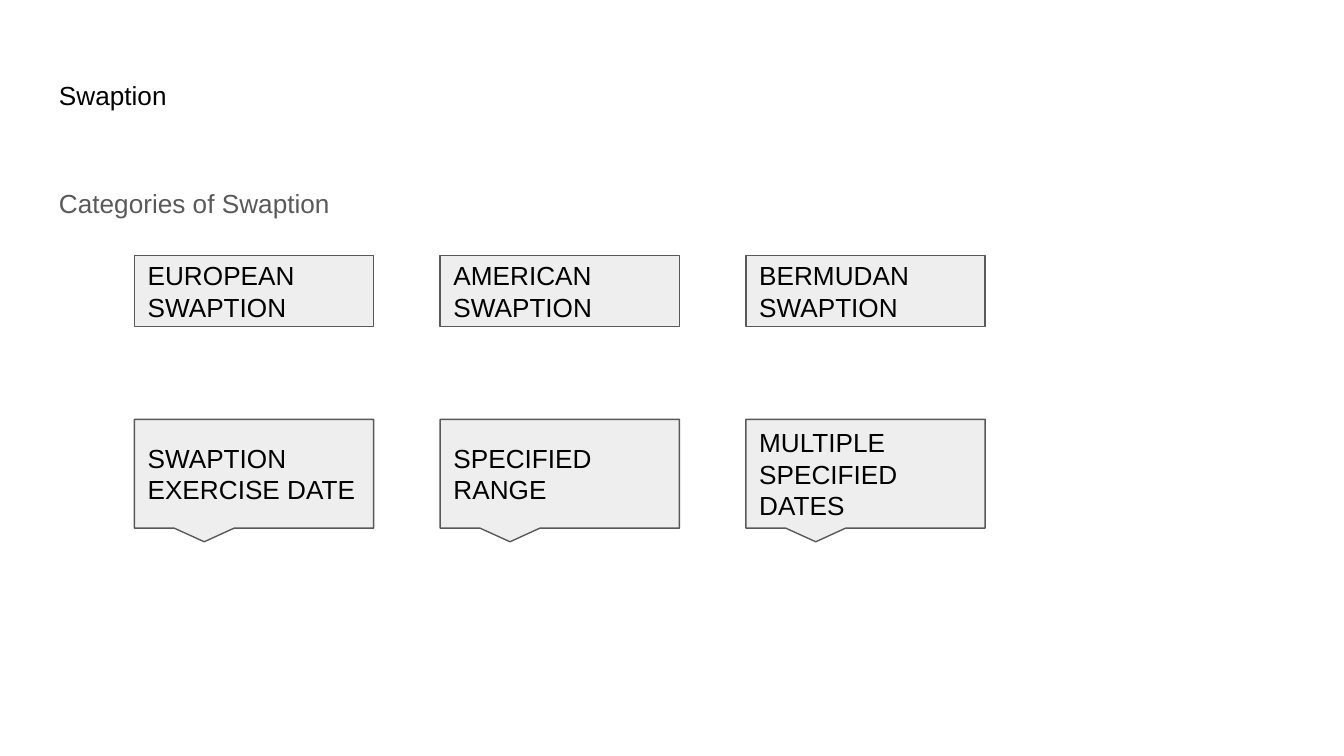
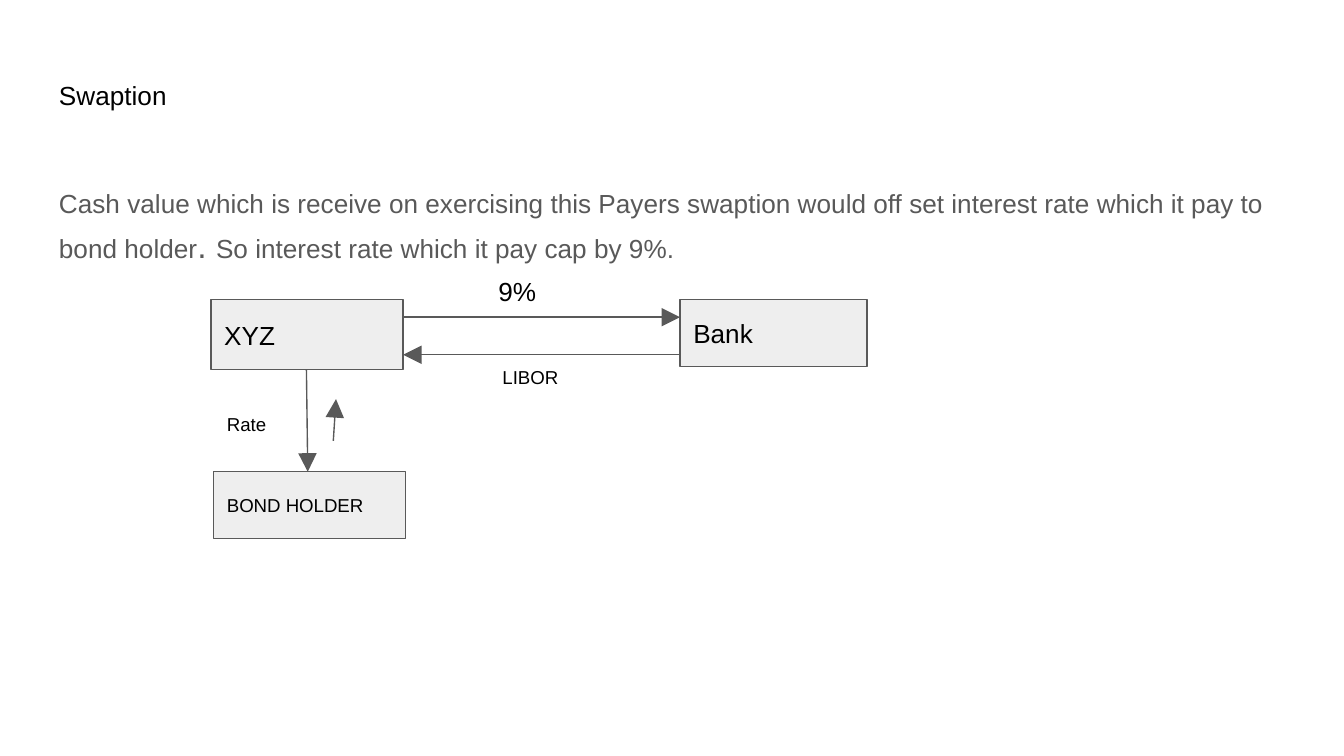
"""Build two slides on swaptions: the categories and a payer swaption diagram."""
from lxml import etree
from pptx import Presentation
from pptx.dml.color import RGBColor
from pptx.enum.shapes import MSO_CONNECTOR, MSO_SHAPE
from pptx.enum.text import MSO_ANCHOR, PP_ALIGN
from pptx.oxml.ns import qn
from pptx.util import Inches, Pt

RECT, CALLOUT = MSO_SHAPE.RECTANGLE, MSO_SHAPE.RECTANGULAR_CALLOUT
STRAIGHT = MSO_CONNECTOR.STRAIGHT
TOP, MIDDLE, LEFT = MSO_ANCHOR.TOP, MSO_ANCHOR.MIDDLE, PP_ALIGN.LEFT
BLACK, GREY, PALE, WHITE = "000000", "595959", "EEEEEE", "FFFFFF"
FONT = "Arial"
rgb = RGBColor.from_string


def add_text(s, text, x, y, w, h, shape=None, size=14, color=BLACK, spacing=1.0, after=0):
    box = [Inches(v) for v in (x, y, w, h)]
    if shape is None:
        sp = s.shapes.add_textbox(*box)
    else:
        sp = s.shapes.add_shape(shape, *box)
        sp.shadow.inherit = False
        sp.fill.solid()
        sp.fill.fore_color.rgb = rgb(PALE)
        sp.line.color.rgb = rgb(GREY)
        sp.line.width = Pt(0.75)
    tf = sp.text_frame
    tf.word_wrap = True
    tf.vertical_anchor = TOP if shape is None else MIDDLE
    tf.margin_left = tf.margin_right = tf.margin_top = tf.margin_bottom = Inches(0.1)
    p = tf.paragraphs[0]
    p.alignment = LEFT
    p.line_spacing = spacing
    p.space_after = Pt(after)
    runs = [(text, size)] if isinstance(text, str) else text
    for words, points in runs:
        r = p.add_run()
        r.text = words
        r.font.name = FONT
        r.font.size = Pt(points)
        r.font.color.rgb = rgb(color)
    return sp


def add_arrow(s, x1, y1, x2, y2):
    c = s.shapes.add_connector(STRAIGHT, Inches(x1), Inches(y1), Inches(x2), Inches(y2))
    c.line.color.rgb = rgb(GREY)
    c.line.width = Pt(0.75)
    etree.SubElement(c.line._get_or_add_ln(), qn("a:tailEnd"), type="triangle", w="lg", len="lg")
    etree.SubElement(c._element.spPr, qn("a:effectLst"))


prs = Presentation()
prs.slide_width, prs.slide_height = Inches(10), Inches(5.625)

bodies = [
    "Categories of Swaption",
    [
        ("Cash value which is receive on exercising this Payers swaption would off set "
         "interest rate which it pay to bond holder", 14),
        (". ", 18),
        ("So interest rate which it pay cap by 9%.", 14),
    ],
]
slides = []
for body in bodies:
    s = prs.slides.add_slide(prs.slide_layouts[6])
    s.background.fill.solid()
    s.background.fill.fore_color.rgb = rgb(WHITE)
    add_text(s, "Swaption", 0.34, 0.49, 9.32, 0.63)
    add_text(s, body, 0.34, 1.26, 9.32, 3.74, color=GREY, spacing=1.15, after=16)
    slides.append(s)
categories, diagram = slides

columns = [
    ("EUROPEAN SWAPTION", "SWAPTION EXERCISE DATE"),
    ("AMERICAN SWAPTION", "SPECIFIED RANGE"),
    ("BERMUDAN SWAPTION", "MULTIPLE SPECIFIED DATES"),
]
for i, (name, exercise) in enumerate(columns):
    x = 1 + i * 2.275
    add_text(categories, name, x, 1.9, 1.78, 0.53, shape=RECT)
    sp = add_text(categories, exercise, x, 3.12, 1.78, 0.81, shape=CALLOUT)
    sp.adjustments[0], sp.adjustments[1] = -0.208, 0.625

for name, x, y, w, h, size in [
    ("Bank", 5.06, 2.23, 1.39, 0.5, 14),
    ("XYZ", 1.57, 2.23, 1.43, 0.52, 14),
    ("BOND HOLDER", 1.59, 3.51, 1.43, 0.5, 10),
]:
    add_text(diagram, name, x, y, w, h, shape=RECT, size=size)

for ends in [
    (3, 2.36, 5.06, 2.36),
    (5.06, 2.64, 3, 2.64),
    (2.28, 2.75, 2.29, 3.51),
    (2.48, 3.28, 2.5, 2.97),
]:
    add_arrow(diagram, *ends)

for label, x, y, w, h, size in [
    ("9%", 3.61, 1.95, 0.52, 0.41, 14),
    ("LIBOR", 3.64, 2.64, 0.78, 0.34, 10),
    ("Rate", 1.59, 2.99, 0.62, 0.34, 10),
]:
    add_text(diagram, label, x, y, w, h, size=size)

prs.save("out.pptx")
